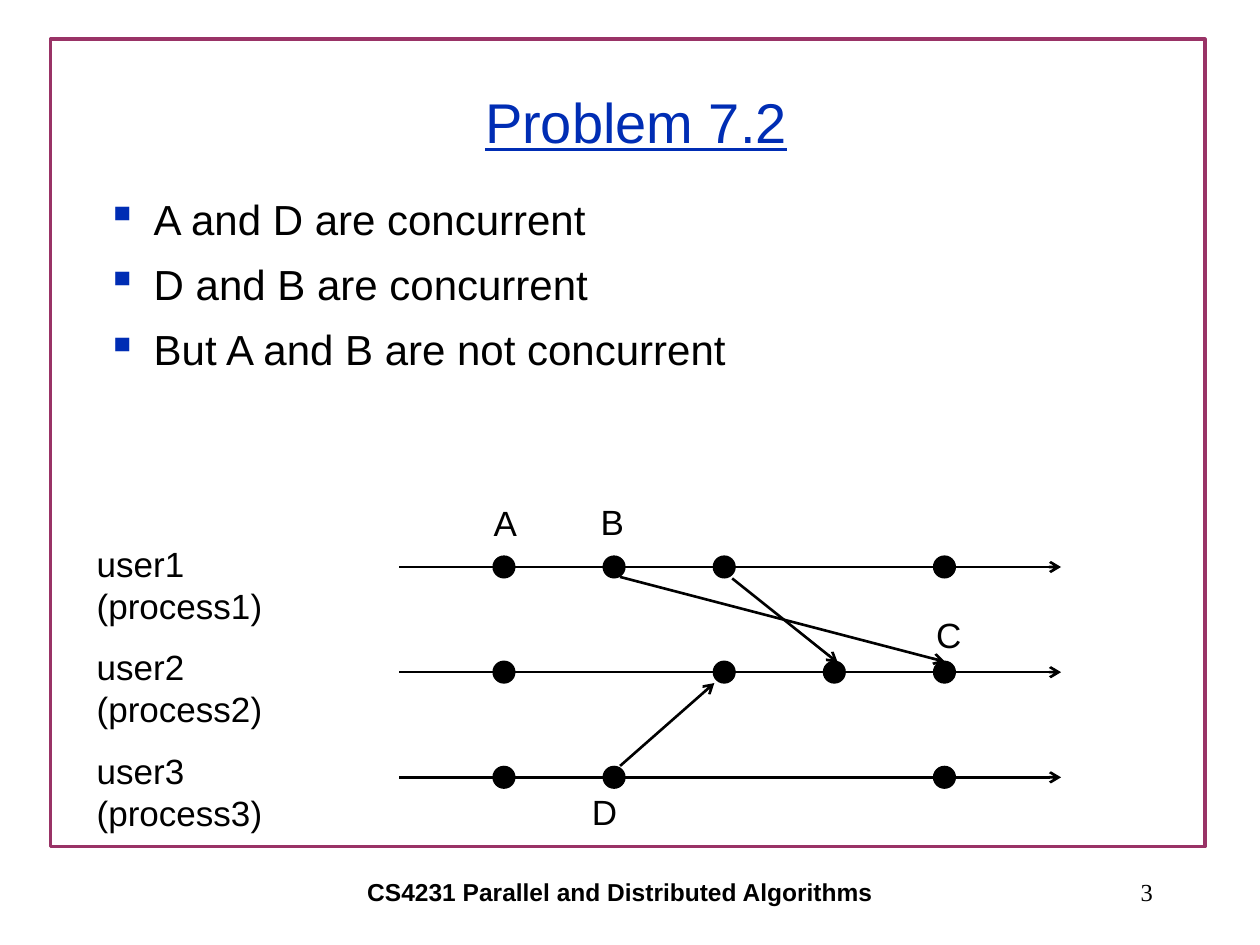
"""Draw the Problem 7.2 slide: three process timelines with messages between them."""
import dataclasses

import lxml.etree
import pptx
import pptx.dml.color
import pptx.enum.shapes
import pptx.enum.text
import pptx.oxml.ns
import pptx.util

Cm = pptx.util.Cm
Pt = pptx.util.Pt
Align = pptx.enum.text.PP_ALIGN
Anchor = pptx.enum.text.MSO_ANCHOR
Kind = pptx.enum.shapes.MSO_SHAPE


@dataclasses.dataclass(frozen=True)
class Theme:
    ink: str = "000000"
    blue: str = "002DB4"
    plum: str = "993366"
    sans: str = "Arial"
    serif: str = "Times New Roman"
    title: float = 32
    body: float = 24
    label: float = 20
    foot: float = 14
    gap: float = 8.4


class Sketch:
    def __init__(self, slide, theme):
        self.slide = slide
        self.theme = theme

    def color(self, code):
        return pptx.dml.color.RGBColor.from_string(code)

    def child(self, parent, tag, **attrs):
        return lxml.etree.SubElement(parent, pptx.oxml.ns.qn(tag), attrs)

    def shape(self, kind, box, line, width, fill=None):
        shape = self.slide.shapes.add_shape(kind, *map(Cm, box))
        shape.shadow.inherit = False
        if fill:
            shape.fill.solid()
            shape.fill.fore_color.rgb = self.color(fill)
        else:
            shape.fill.background()
        shape.line.color.rgb = self.color(line)
        shape.line.width = Pt(width)

    def dot(self, x, y, size=0.44):
        box = (x - size / 2, y - size / 2, size, size)
        self.shape(Kind.OVAL, box, self.theme.ink, 0.75, self.theme.ink)

    def arrow(self, start, end):
        link = self.slide.shapes.add_connector(
            pptx.enum.shapes.MSO_CONNECTOR.STRAIGHT, *map(Cm, start + end))
        link.line.color.rgb = self.color(self.theme.ink)
        link.line.width = Pt(1.5)
        self.child(link.line._get_or_add_ln(), "a:tailEnd", type="arrow")
        self.child(link._element.spPr, "a:effectLst")

    def text(self, words, box, size, align=Align.LEFT, anchor=Anchor.TOP,
             tint=None, face=None, bold=False, under=False, wrap=True):
        frame = self.slide.shapes.add_textbox(*map(Cm, box)).text_frame
        frame.word_wrap = wrap
        frame.vertical_anchor = anchor
        frame.text = words
        for para in frame.paragraphs:
            para.alignment = align
            for run in para.runs:
                run.font.size = Pt(size)
                run.font.name = face or self.theme.sans
                run.font.color.rgb = self.color(tint or self.theme.ink)
                run.font.bold = bold
                run.font.underline = under
        return frame

    def list(self, items, box):
        frame = self.text("\n".join(items), box, self.theme.body)
        for para in frame.paragraphs[1:]:
            para.space_before = Pt(self.theme.gap)
        for para in frame.paragraphs:
            props = para._p.get_or_add_pPr()
            props.set("marL", str(Cm(0.95)))
            props.set("indent", str(-Cm(0.95)))
            tint = self.child(props, "a:buClr")
            self.child(tint, "a:srgbClr", val=self.theme.blue)
            self.child(props, "a:buChar", char="▪")


def main():
    theme = Theme()
    deck = pptx.Presentation()
    deck.slide_width, deck.slide_height = Cm(25.4), Cm(19.05)
    sketch = Sketch(deck.slides.add_slide(deck.slide_layouts[6]), theme)

    sketch.shape(Kind.RECTANGLE, (1.02, 0.79, 23.27, 16.28), theme.plum, 2)
    sketch.text("CS4231 Parallel and Distributed Algorithms", (3.61, 17.35, 17.78, 1.27),
                theme.foot, Align.CENTER, Anchor.MIDDLE, bold=True)
    sketch.text("3", (18.21, 17.35, 5.28, 1.27), theme.foot, Align.RIGHT,
                Anchor.MIDDLE, face=theme.serif)
    sketch.text("Problem 7.2", (2.03, 1.27, 21.59, 2.34), theme.title, Align.CENTER,
                Anchor.MIDDLE, tint=theme.blue, under=True)
    sketch.list(["A and D are concurrent", "D and B are concurrent",
                 "But A and B are not concurrent"], (1.9, 3.78, 21.59, 4.24))

    cols = [10.16 + 2.22 * step for step in range(5)]
    rows = [11.43 + 2.12 * step for step in range(3)]
    events = [(0, 1, 2, 4), (0, 2, 3, 4), (0, 1, 4)]
    tops = [10.82, 12.88, 14.99]
    for rank, (y, marks, top) in enumerate(zip(rows, events, tops), 1):
        for mark in marks:
            sketch.dot(cols[mark], y)
        sketch.arrow((8.05, y), (21.39, y))
        sketch.text(f"user{rank} (process{rank})", (1.7, top, 5.2, 1.9), theme.label)

    for start, end in [((12.5, 11.63), (19.05, 13.34)),
                       ((14.76, 11.66), (16.89, 13.36)),
                       ((12.5, 15.44), (14.4, 13.77))]:
        sketch.arrow(start, end)

    for name, x, y in [("A", 9.7, 9.98), ("B", 11.86, 9.96),
                       ("C", 18.62, 12.24), ("D", 11.68, 15.82)]:
        sketch.text(name, (x, y, 1, 1.09), theme.label, wrap=False)

    deck.save("out.pptx")


if __name__ == "__main__":
    main()
